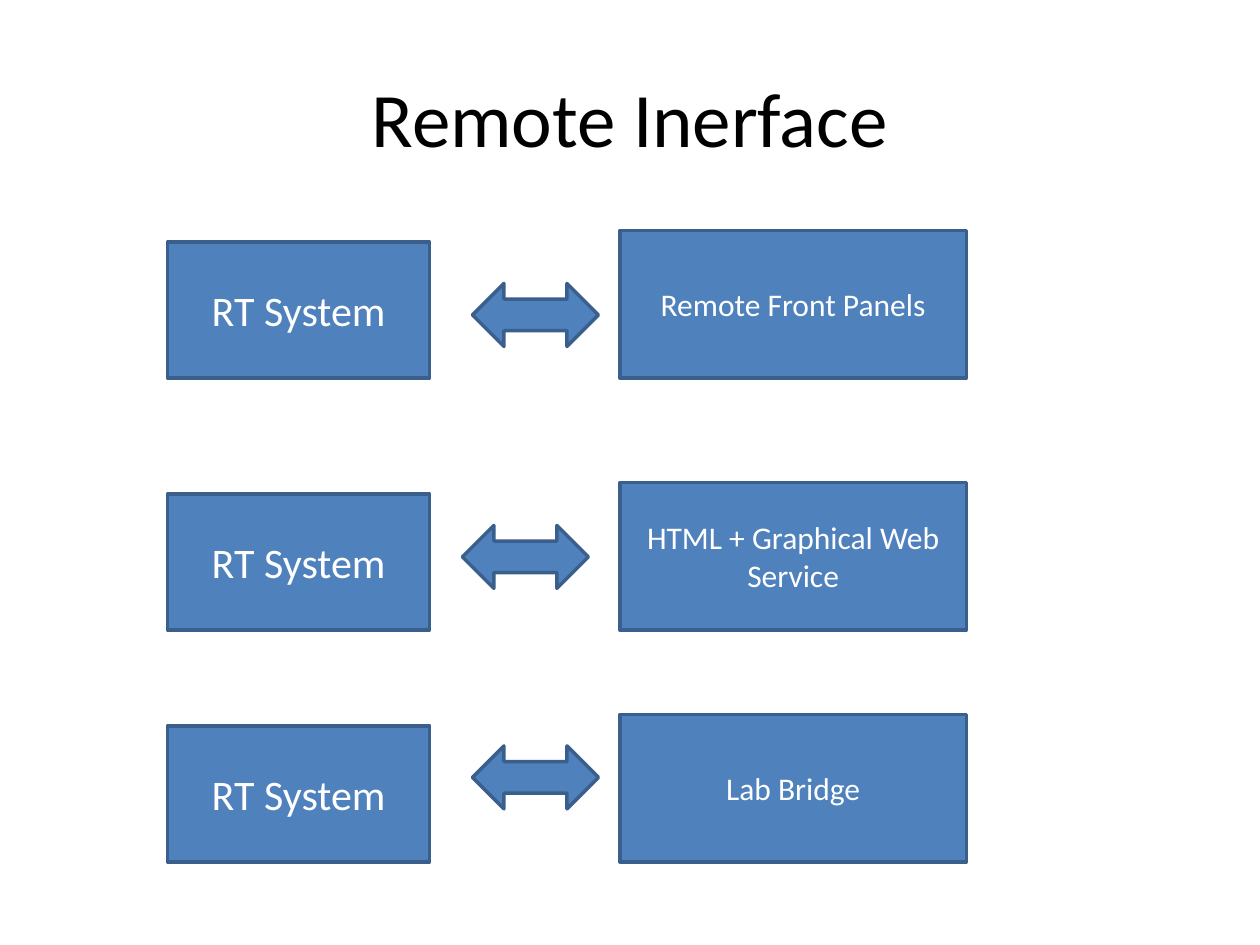
import pptx
import pptx.util
import pptx.dml.color
import pptx.enum.shapes
import pptx.enum.text

Inches = pptx.util.Inches
Pt = pptx.util.Pt
MSO_SHAPE = pptx.enum.shapes.MSO_SHAPE


def rgb(color):
    return pptx.dml.color.RGBColor.from_string(color)


def write(tf, text, size=18, color="FFFFFF", font="Calibri"):
    tf.word_wrap = True
    tf.vertical_anchor = pptx.enum.text.MSO_ANCHOR.MIDDLE
    p = tf.paragraphs[0]
    p.alignment = pptx.enum.text.PP_ALIGN.CENTER
    r = p.add_run()
    r.text = text
    r.font.size = Pt(size)
    r.font.name = font
    r.font.color.rgb = rgb(color)


class Diagram:
    fill = "4F81BD"
    line = "3A5F8C"
    line_width = 2

    def __init__(self, slide):
        self.s = slide

    def title(self, text, x, y, w, h):
        sp = self.s.shapes.add_textbox(Inches(x), Inches(y), Inches(w), Inches(h))
        write(sp.text_frame, text, size=44, color="000000")

    def shape(self, kind, x, y, w, h):
        sp = self.s.shapes.add_shape(kind, Inches(x), Inches(y), Inches(w), Inches(h))
        sp.shadow.inherit = False
        sp.fill.solid()
        sp.fill.fore_color.rgb = rgb(self.fill)
        sp.line.color.rgb = rgb(self.line)
        sp.line.width = Pt(self.line_width)
        return sp

    def box(self, text, x, y, w, h, size):
        sp = self.shape(MSO_SHAPE.RECTANGLE, x, y, w, h)
        write(sp.text_frame, text, size=size)

    def arrow(self, x, y):
        self.shape(MSO_SHAPE.LEFT_RIGHT_ARROW, x, y, 1, 0.5)


prs = pptx.Presentation()
prs.slide_width = Inches(10)
prs.slide_height = Inches(7.5)
s = prs.slides.add_slide(prs.slide_layouts[6])
diagram = Diagram(s)

diagram.title("Remote Inerface", 0.5, 0.3, 9, 1.25)

rows = [
    ("Remote Front Panels", 1.83, 3.75, 2.25),
    ("HTML + Graphical Web Service", 3.83, 3.67, 4.17),
    ("Lab Bridge", 5.67, 3.75, 5.92),
]
for interface, top, arrow_x, arrow_y in rows:
    diagram.box("RT System", 1.33, top + 0.09, 2.08, 1.08, size=24)
    diagram.arrow(arrow_x, arrow_y)
    diagram.box(interface, 4.92, top, 2.75, 1.17, size=18)

prs.save("out.pptx")
